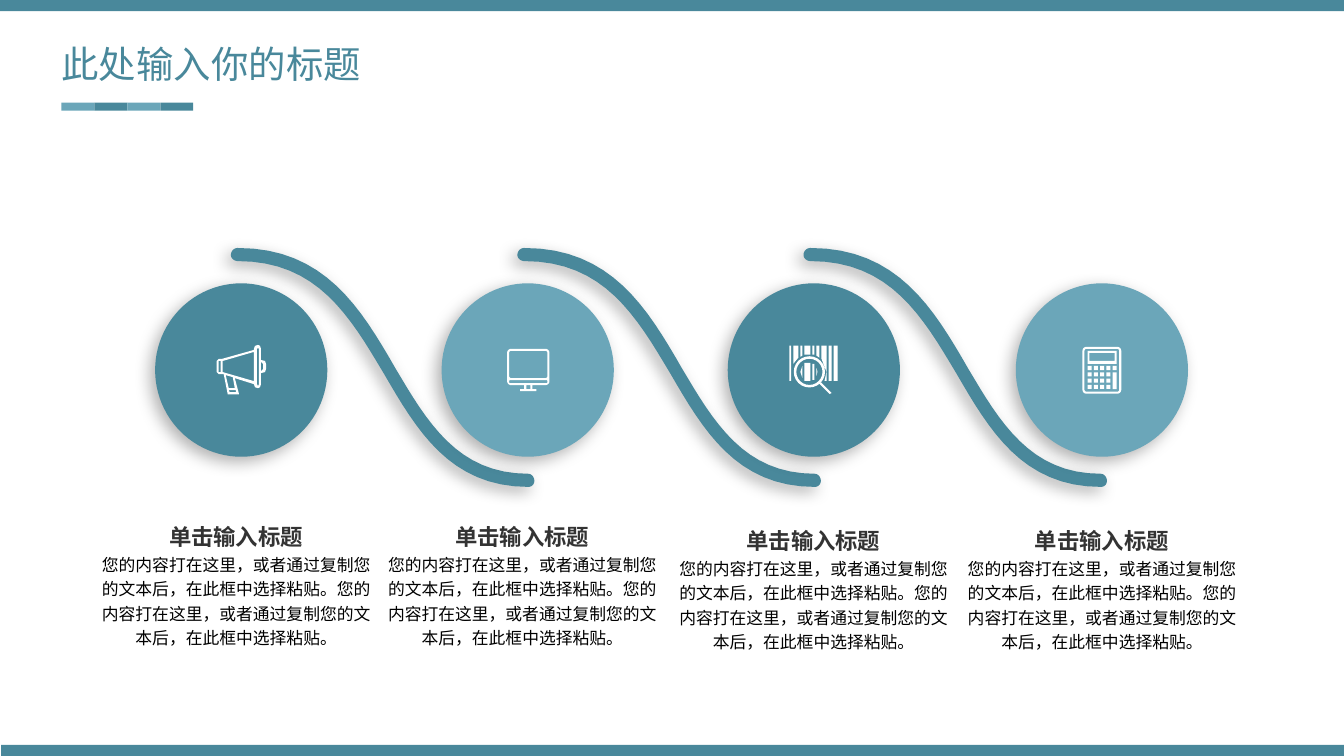
import math

import lxml.etree
import pptx
import pptx.dml.color
import pptx.enum.shapes
import pptx.enum.text
import pptx.oxml
import pptx.oxml.ns
import pptx.util

Cm, Pt = pptx.util.Cm, pptx.util.Pt
SHAPE = pptx.enum.shapes.MSO_SHAPE
ALIGN = pptx.enum.text.PP_ALIGN
TEAL, SKY, WHITE, GREY, BLACK = "49889B", "6BA6B9", "FFFFFF", "333333", "000000"
UNIT = 2.54 / 100  # cm per drawing unit of curves and icons
BODY = "您的内容打在这里，或者通过复制您的文本后，在此框中选择粘贴。" * 2


def color(hex_string):
    return pptx.dml.color.RGBColor.from_string(hex_string)


def bezier(start, segments, steps=16):
    """Return points along a chain of cubic curves."""
    points = [start]
    for c1, c2, end in segments:
        p0 = points[-1]
        for i in range(1, steps + 1):
            t = i / steps
            weights = (1 - t) ** 3, 3 * t * (1 - t) ** 2, 3 * t * t * (1 - t), t ** 3
            points.append(tuple(sum(w * q[axis] for w, q in zip(weights, (p0, c1, c2, end)))
                                for axis in (0, 1)))
    return points


def box(x1, y1, x2, y2, radius=0):
    """Return the outline of a rectangle, with round corners if radius is given."""
    if not radius:
        return [(x1, y1), (x2, y1), (x2, y2), (x1, y2)]
    corners = [(x2 - radius, y2 - radius), (x1 + radius, y2 - radius),
               (x1 + radius, y1 + radius), (x2 - radius, y1 + radius)]
    return [(cx + radius * math.cos(math.radians(90 * k + a)),
             cy + radius * math.sin(math.radians(90 * k + a)))
            for k, (cx, cy) in enumerate(corners) for a in range(0, 91, 15)]


def ring(cx, cy, radius):
    return box(cx - radius, cy - radius, cx + radius, cy + radius, radius)


WAVE = [bezier((295, 237), [
    ((217, 237), (184, 180), (152, 125)), ((118, 68), (86, 13), (7, 13)),
    ((3, 13), (0, 10), (0, 7)), ((0, 3), (3, 0), (7, 0)),
    ((93, 0), (129, 60), (163, 119)), ((195, 173), (225, 224), (295, 224)),
    ((298, 224), (301, 227), (301, 231)), ((301, 235), (298, 237), (295, 237))])]

MEGAPHONE = [
    [(44, 15), (44, 4), (43, 1), (41, 0), (38, 1), (37, 4), (37, 5), (5, 14), (2, 14),
     (0, 16), (0, 27), (2, 29), (7, 29), (11, 49), (22, 49), (22, 48), (18, 33), (37, 39),
     (38, 42), (41, 43), (43, 42), (44, 39), (44, 28), (48, 27), (49, 24), (49, 19), (48, 16)],
    [(44, 17), (46, 19), (46, 24), (44, 26)],
    [(40, 4), (41, 3), (42, 4), (42, 39), (41, 41), (40, 39)],
    [(37, 7), (37, 36), (6, 27), (6, 16)],
    [(9, 30), (16, 32), (18, 43), (12, 43)],
    [(12, 45), (19, 45), (19, 47), (13, 47)],
    box(2, 16, 4, 27)]

MONITOR = [box(0, 0, 42, 36, 4), box(2, 2, 40, 29, 2), box(2, 31, 40, 34, 1),
           box(17, 36, 19, 40), box(23, 36, 25, 40), box(13, 40, 29, 42)]

BARCODE = [
    box(0, 0, 2, 35), box(39, 0, 42, 35), box(44, 0, 48, 35),
    [(4, 0), (9, 0), (9, 12), (4, 18)], [(11, 0), (13, 0), (13, 10), (11, 11)],
    box(15, 0, 21, 9), box(23, 0, 25, 9), [(27, 0), (30, 0), (30, 12), (27, 10)],
    [(32, 0), (37, 0), (37, 26), (32, 13)], [(37, 26), (37, 35), (35, 35)],
    ring(20, 26, 15.5), ring(20, 26, 13), [(31, 36), (30, 38), (40, 48), (42, 47)],
    [(13, 20), (13, 32), (11, 26)], box(15, 17, 21, 35), box(23, 18, 25, 34),
    [(27, 22), (28, 26), (27, 30)]]

KEYS = [box(5 + 6.25 * col, 19 + 6.25 * row, 9 + 6.25 * col, 23 + 6.25 * row)
        for row in range(4) for col in range(5) if row == 0 or col < 4]
CALCULATOR = [box(0, 0, 38.5, 46.5, 4), box(2, 2, 36.5, 44.5, 2), box(5, 4, 34, 17),
              box(7, 6, 32, 14), box(30, 25.25, 34, 42)] + KEYS


class Deck:
    def __init__(self):
        self.prs = pptx.Presentation()
        self.prs.slide_width, self.prs.slide_height = Cm(33.87), Cm(19.05)
        self.s = self.prs.slides.add_slide(self.prs.slide_layouts[5])

    def paint(self, sp, fill, shadow):
        sp.fill.solid()
        sp.fill.fore_color.rgb = color(fill)
        sp.line.fill.background()
        sp.shadow.inherit = False
        if shadow:
            effects = sp._element.spPr.find(pptx.oxml.ns.qn("a:effectLst"))
            effects.append(pptx.oxml.parse_xml(
                f'<a:outerShdw {pptx.oxml.ns.nsdecls("a")} blurRad="{Pt(12)}" dist="{Pt(5)}" '
                'dir="8100000" algn="tr" rotWithShape="0"><a:srgbClr val="000000">'
                '<a:alpha val="30000"/></a:srgbClr></a:outerShdw>'))

    def shape(self, kind, left, top, width, height, fill, shadow=False):
        sp = self.s.shapes.add_shape(kind, Cm(left), Cm(top), Cm(width), Cm(height))
        self.paint(sp, fill, shadow)

    def outline(self, contours, left, top, fill, shadow=False):
        """Draw closed contours, given in drawing units, as one shape."""
        paths = [[(Cm(left + x * UNIT), Cm(top + y * UNIT)) for x, y in c] for c in contours]
        builder = self.s.shapes.build_freeform(*paths[0][0])
        for i, points in enumerate(paths):
            if i:
                builder.move_to(*points[0])
            builder.add_line_segments(points[1:], close=True)
        self.paint(builder.convert_to_shape(), fill, shadow)

    def add_run(self, p, text, size, font, fill, bold=False, east_asian=None):
        r = p.add_run()
        r.text = text
        r.font.size, r.font.name, r.font.bold = Pt(size), font, bold
        r.font.color.rgb = color(fill)
        if east_asian:
            ea = lxml.etree.SubElement(r.font._element, pptx.oxml.ns.qn("a:ea"))
            ea.set("typeface", east_asian)

    def text(self, text, left, top, width, height, size, font, fill, bold=False, spacing=None):
        sp = self.s.shapes.add_textbox(Cm(left), Cm(top), Cm(width), Cm(height))
        tf = sp.text_frame
        tf.word_wrap = True
        p = tf.paragraphs[0]
        p.alignment, p.line_spacing = ALIGN.CENTER, spacing
        self.add_run(p, text, size, font, fill, bold)

    def title(self, text, left, top, width, height):
        sp = self.s.shapes.title
        sp.left, sp.top, sp.width, sp.height = Cm(left), Cm(top), Cm(width), Cm(height)
        tf = sp.text_frame
        tf.margin_left = tf.margin_right = tf.margin_top = tf.margin_bottom = 0
        tf.vertical_anchor = pptx.enum.text.MSO_ANCHOR.TOP
        tf.auto_size = pptx.enum.text.MSO_AUTO_SIZE.NONE
        p = tf.paragraphs[0]
        p.alignment = ALIGN.LEFT
        font = "Noto Sans CJK SC"
        self.add_run(p, text, 26.7, font, TEAL, east_asian=font)


def main():
    deck = Deck()
    for left, top in ((0, 0), (0.03, 18.77)):
        deck.shape(SHAPE.RECTANGLE, left, top, 33.87, 0.28, TEAL)
    deck.title("此处输入你的标题", 1.55, 1.04, 10.29, 1.14)
    for i in range(4):
        deck.shape(SHAPE.RECTANGLE, 1.55 + 0.83 * i, 2.59, 0.83, 0.2, (SKY, TEAL)[i % 2])

    # disc left, caption left, caption top, icon, icon left, icon top
    steps = [(3.91, 2.26, 13.06, MEGAPHONE, 5.46, 8.69),
             (11.13, 9.47, 13.06, MONITOR, 12.78, 8.79),
             (18.34, 16.81, 13.16, BARCODE, 19.89, 8.71),
             (25.6, 24.08, 13.16, CALCULATOR, 27.28, 8.74)]
    for i, (disc, *_) in enumerate(steps):
        deck.shape(SHAPE.OVAL, disc - 0.84, 6.25, 6.02, 6.05, WHITE)
        if i:
            deck.outline(WAVE, steps[i - 1][0] + 1.91, 6.25, TEAL, shadow=True)
    for i, (disc, left, top, icon, icon_left, icon_top) in enumerate(steps):
        deck.shape(SHAPE.OVAL, disc, 7.14, 4.34, 4.37, (TEAL, SKY)[i % 2], shadow=True)
        deck.outline(icon, icon_left, icon_top, WHITE)
        deck.text("单击输入标题", left + 1.72, top, 3.94, 0.94, 16,
                  "TeX Gyre Adventor", GREY, bold=True)
        deck.text(BODY, left, top + 0.7, 7.39, 2.26, 12, "Arial", BLACK, spacing=1.2)
    deck.prs.save("out.pptx")


if __name__ == "__main__":
    main()
